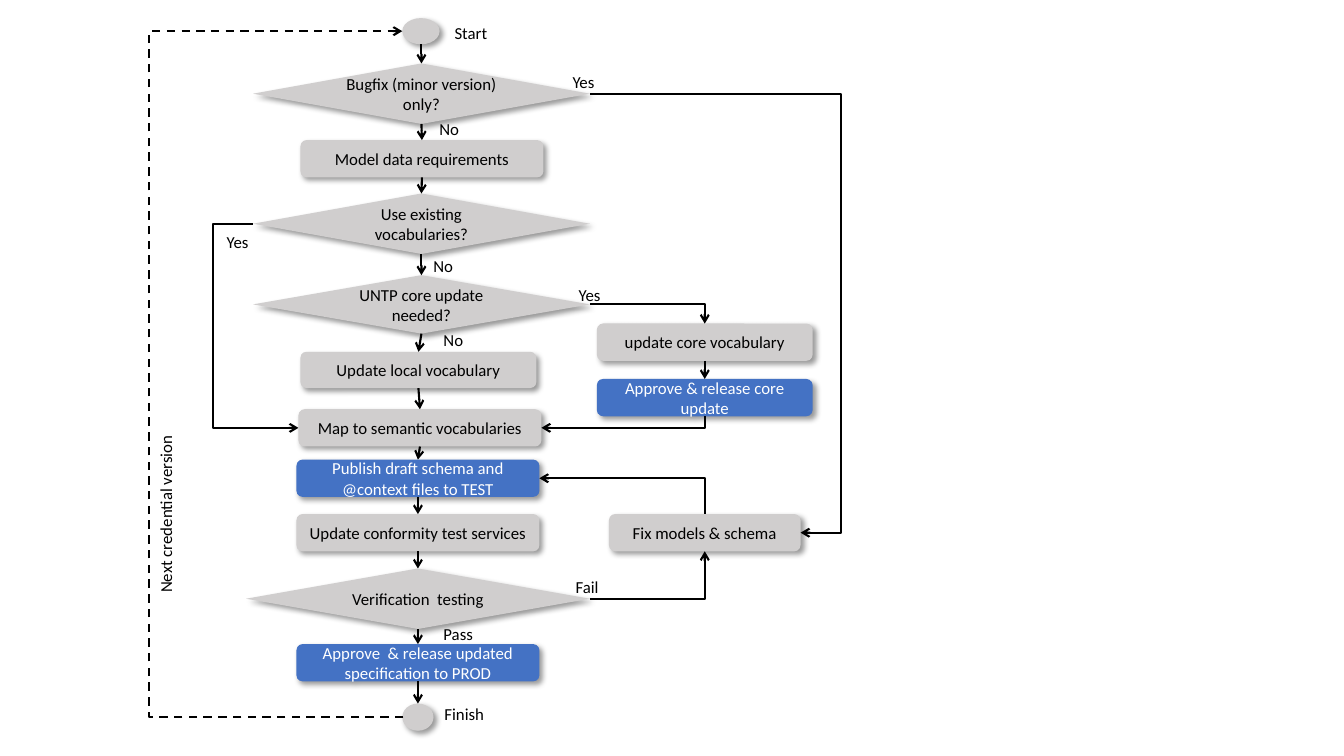
import pptx
import pptx.dml.color
import pptx.enum.shapes
import pptx.enum.text
import pptx.oxml
import pptx.oxml.ns
import pptx.util
from pptx.util import Inches

RGB = pptx.dml.color.RGBColor
GREY = RGB(0xD0, 0xCE, 0xCE)
BLUE = RGB(0x44, 0x72, 0xC4)
BLACK = RGB(0x00, 0x00, 0x00)
WHITE = RGB(0xFF, 0xFF, 0xFF)

KIND = pptx.enum.shapes.MSO_SHAPE
WIRE = pptx.enum.shapes.MSO_CONNECTOR
ALIGN = pptx.enum.text.PP_ALIGN
TOP, LEFT, BOTTOM, RIGHT = range(4)
qn = pptx.oxml.ns.qn
NS = pptx.oxml.ns.nsdecls("a")
SHADOW = (
    f'<a:effectLst {NS}><a:outerShdw blurRad="50800" dist="38100" dir="2700000" '
    'algn="tl" rotWithShape="0"><a:srgbClr val="000000"><a:alpha val="40000"/>'
    '</a:srgbClr></a:outerShdw></a:effectLst>'
)

deck = pptx.Presentation()
deck.slide_width, deck.slide_height = Inches(13.33), Inches(7.5)
slide = deck.slides.add_slide(deck.slide_layouts[6])
shapes = slide.shapes


def write(shape, text, color=BLACK, align=ALIGN.LEFT, inset=None, wrap=True):
    frame = shape.text_frame
    frame.word_wrap = wrap
    frame.vertical_anchor = pptx.enum.text.MSO_ANCHOR.MIDDLE
    if inset is not None:
        frame.margin_left = frame.margin_right = Inches(inset)
        frame.margin_top = frame.margin_bottom = Inches(inset)
    para = frame.paragraphs[0]
    para.alignment = align
    run = para.add_run()
    run.text = text
    run.font.name = "Calibri"
    run.font.size = pptx.util.Pt(12)
    run.font.color.rgb = color


def draw(wire, tip="tailEnd", dash=False):
    """Add a black connector with an arrowhead at the given end."""
    line = shapes.add_connector(wire, 0, 0, 0, 0)
    line.line.color.rgb = BLACK
    line.line.width = pptx.util.Pt(1.5)
    if dash:
        line.line.dash_style = pptx.enum.dml.MSO_LINE.DASH
    line.line._get_or_add_ln().append(
        pptx.oxml.parse_xml(f'<a:{tip} {NS} type="arrow"/>'))
    line.element.spPr.append(pptx.oxml.parse_xml(f"<a:effectLst {NS}/>"))
    return line


# Steps: name, kind, left, top, width, height, fill, text
OVAL, BOX, TEST = KIND.OVAL, KIND.ROUNDED_RECTANGLE, KIND.FLOWCHART_DECISION
steps = [
    ("start", OVAL, 3.99, 0.18, 0.37, 0.26, GREY, ""),
    ("bugfix", TEST, 2.51, 0.63, 3.34, 0.6, GREY, "Bugfix (minor version) only?"),
    ("model", BOX, 2.98, 1.39, 2.41, 0.37, GREY, "Model data requirements"),
    ("reuse", TEST, 2.51, 1.92, 3.34, 0.6, GREY, "Use existing vocabularies?"),
    ("core", TEST, 2.51, 2.73, 3.34, 0.58, GREY, "UNTP core update needed?"),
    ("local", BOX, 2.98, 3.49, 2.34, 0.36, GREY, "Update local vocabulary"),
    ("map", BOX, 2.96, 4.06, 2.41, 0.37, GREY, "Map to semantic vocabularies"),
    ("draft", BOX, 2.94, 4.56, 2.41, 0.37, BLUE,
     "Publish draft schema and @context files to TEST"),
    ("conform", BOX, 2.94, 5.1, 2.41, 0.37, GREY, "Update conformity test services"),
    ("verify", TEST, 2.44, 5.64, 3.41, 0.6, GREY, "Verification  testing"),
    ("release", BOX, 2.94, 6.39, 2.41, 0.37, BLUE,
     "Approve  & release updated specification to PROD"),
    ("finish", OVAL, 3.99, 6.98, 0.31, 0.27, GREY, ""),
    ("update", BOX, 5.92, 3.21, 2.14, 0.37, GREY, "update core vocabulary"),
    ("approve", BOX, 5.92, 3.76, 2.14, 0.37, BLUE, "Approve & release core update"),
    ("fix", BOX, 6.04, 5.1, 1.9, 0.37, GREY, "Fix models & schema"),
]
nodes = {}
for name, kind, x, y, w, h, fill, text in steps:
    node = shapes.add_shape(kind, Inches(x), Inches(y), Inches(w), Inches(h))
    node.fill.solid()
    node.fill.fore_color.rgb = fill
    node.line.fill.background()
    node.element.spPr.append(pptx.oxml.parse_xml(SHADOW))
    if text:
        write(node, text, color=WHITE if fill == BLUE else BLACK,
              align=ALIGN.CENTER, inset=0.04)
    nodes[name] = node

# Downward arrows: the main column, then the core update
chain = [step[0] for step in steps[:12]]
for above, below in list(zip(chain, chain[1:])) + [("update", "approve")]:
    line = draw(WIRE.STRAIGHT)
    if above == "start":
        line.begin_x, line.begin_y = Inches(4.18), Inches(0.44)
    else:
        line.begin_connect(nodes[above], BOTTOM)
    line.end_connect(nodes[below], TOP)

# Elbows: from, side, to, side, arrow end, x of the bend (None for one corner)
elbows = [
    ("verify", RIGHT, "fix", BOTTOM, "tailEnd", None),
    ("core", RIGHT, "update", TOP, "tailEnd", None),
    ("draft", RIGHT, "fix", TOP, "headEnd", None),
    ("map", RIGHT, "approve", BOTTOM, "headEnd", None),
    ("reuse", LEFT, "map", LEFT, "tailEnd", 2.11),
    ("bugfix", RIGHT, "fix", RIGHT, "tailEnd", 8.34),
    ("finish", 2, "start", 2, "tailEnd", 1.44),
]
for first, out, last, into, tip, bend in elbows:
    line = draw(WIRE.ELBOW, tip, dash=first == "finish")
    line.begin_connect(nodes[first], out)
    line.end_connect(nodes[last], into)
    if first == "finish":  # site 2 of an ellipse is its left side
        line.begin_x, line.begin_y = Inches(4), Inches(7.11)
        line.end_x, line.end_y = Inches(3.99), Inches(0.31)
    geom = line.element.spPr.find(qn("a:prstGeom"))
    if bend is None:
        geom.set("prst", "bentConnector2")
    else:
        ratio = (Inches(bend) - line.begin_x) / (line.end_x - line.begin_x)
        guide = f'<a:gd {NS} name="adj1" fmla="val {round(ratio * 100000)}"/>'
        geom.find(qn("a:avLst")).append(pptx.oxml.parse_xml(guide))

# Labels: text, left, top, width, turn
labels = [
    ("Start", 4.41, 0.18, 0.53, 0),
    ("Yes", 5.58, 0.66, 0.42, 0),
    ("No", 4.26, 1.13, 0.4, 0),
    ("Yes", 2.15, 2.25, 0.42, 0),
    ("No", 4.2, 2.49, 0.4, 0),
    ("Yes", 5.64, 2.77, 0.42, 0),
    ("No", 4.3, 3.22, 0.4, 0),
    ("Fail", 5.61, 5.67, 0.43, 0),
    ("Pass", 4.3, 6.14, 0.5, 0),
    ("Finish", 4.31, 6.93, 0.6, 0),
    ("Next credential version", 0.75, 4.94, 1.78, 270),
]
for text, x, y, w, turn in labels:
    label = shapes.add_textbox(Inches(x), Inches(y), Inches(w), Inches(0.3))
    label.rotation = turn
    write(label, text, wrap=False)
    label.text_frame.auto_size = pptx.enum.text.MSO_AUTO_SIZE.SHAPE_TO_FIT_TEXT

deck.save("out.pptx")
